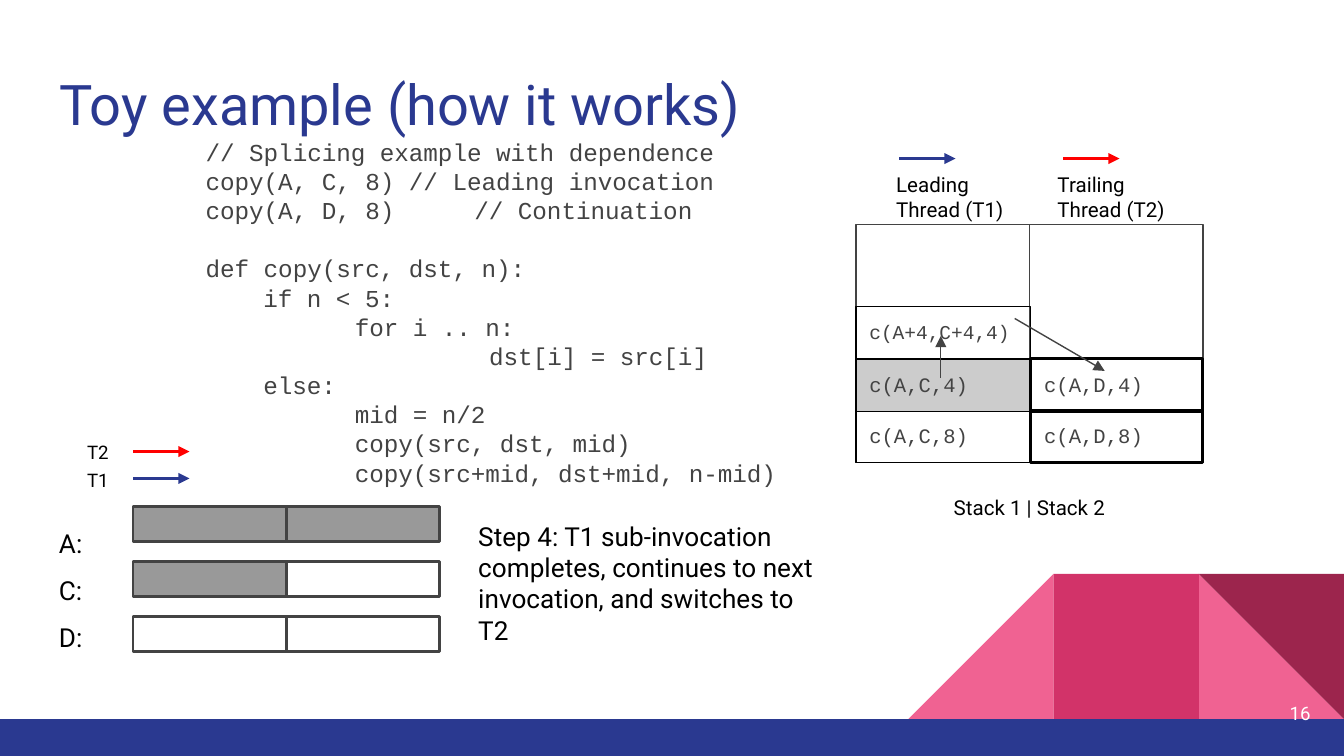
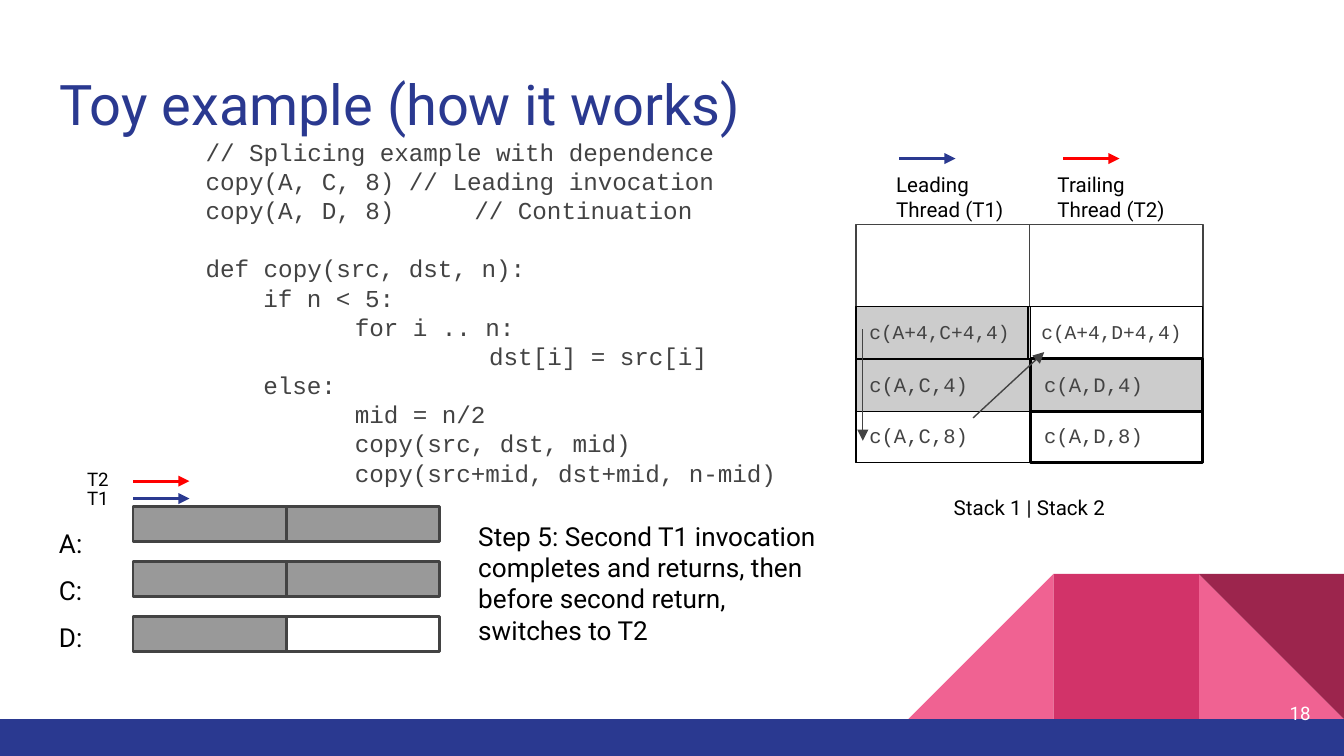
"""Build the two slides that step through the splicing toy example."""
from dataclasses import dataclass
from typing import NamedTuple, Optional

from lxml.etree import SubElement
from pptx import Presentation
from pptx.dml.color import RGBColor
from pptx.enum.shapes import MSO_CONNECTOR, MSO_SHAPE
from pptx.enum.text import MSO_ANCHOR, MSO_AUTO_SIZE, PP_ALIGN
from pptx.oxml.ns import qn
from pptx.util import Inches, Pt


@dataclass(frozen=True)
class Theme:
    """Colours, fonts and type sizes."""
    navy: str = "2A3990"
    red: str = "FF0000"
    pink: str = "F06292"
    rose: str = "D23369"
    wine: str = "9C254D"
    ink: str = "434343"
    black: str = "000000"
    white: str = "FFFFFF"
    filled: str = "999999"
    shaded: str = "CCCCCC"
    sans: str = "Roboto"
    mono: str = "Courier New"
    title: float = 30
    prose: float = 14
    code: float = 13
    label: float = 11
    long_call: float = 10.5
    small: float = 10


THEME = Theme()


class Box(NamedTuple):
    left: float
    top: float
    width: float
    height: float

    def lengths(self) -> tuple:
        """Give the four sides as lengths."""
        return tuple(Inches(side) for side in self)


class Style(NamedTuple):
    size: float
    color: str = THEME.black
    font: str = THEME.sans
    align: PP_ALIGN = PP_ALIGN.LEFT
    spacing: float = 1.0


class Arrow(NamedTuple):
    start: tuple[float, float]
    end: tuple[float, float]
    color: str = THEME.ink
    weight: float = 0.75


class Stack(NamedTuple):
    left: float
    width: float
    outline: float


class Call(NamedTuple):
    text: str
    stack: Stack
    level: int
    shaded: bool = False


class CodeLine(NamedTuple):
    text: str
    indent: float = 0
    space_before: float = 0


class Thread(NamedTuple):
    name: str
    color: str
    arrow_y: float
    label_top: float


class Facet(NamedTuple):
    preset: MSO_SHAPE
    box: Box
    color: str
    rotation: float = 0
    flipped: bool = False


@dataclass(frozen=True)
class Step:
    """What changes from one slide to the next."""
    page: str
    caption: str
    halves_done: tuple[int, int, int]
    threads: tuple[Thread, ...]
    calls: tuple[Call, ...]
    jumps: tuple[Arrow, ...]


STACK_1 = Stack(6.37, 1.3, 0.75)
STACK_2 = Stack(7.67, 1.28, 1.5)
STACK_2_TOP = Stack(7.65, 1.3, 0.75)
LEVEL_TOPS = (3.05, 2.67, 2.28)
FACET = 1.08
FACET_TOP = 4.27
FACETS = (
    Facet(MSO_SHAPE.RIGHT_TRIANGLE, Box(8.92, FACET_TOP, FACET, FACET), THEME.pink),
    Facet(MSO_SHAPE.RIGHT_TRIANGLE, Box(6.76, FACET_TOP, FACET, FACET), THEME.pink, flipped=True),
    Facet(MSO_SHAPE.RECTANGLE, Box(7.84, FACET_TOP, FACET, FACET), THEME.rose),
    Facet(MSO_SHAPE.RIGHT_TRIANGLE, Box(8.92, FACET_TOP, FACET, FACET), THEME.wine, rotation=180),
    Facet(MSO_SHAPE.RECTANGLE, Box(0, 5.35, 10, 0.28), THEME.navy),
)
CODE = (
    CodeLine("// Splicing example with dependence"),
    CodeLine("copy(A, C, 8) // Leading invocation"),
    CodeLine("copy(A, D, 8)\t// Continuation"),
    CodeLine("def copy(src, dst, n):", space_before=15.6),
    CodeLine("if n < 5:", 0.43),
    CodeLine("for i .. n:", 1.11),
    CodeLine("dst[i] = src[i]", 2.11),
    CodeLine("else:", 0.43),
    CodeLine("mid = n/2", 1.11),
    CodeLine("copy(src, dst, mid)", 1.11),
    CodeLine("copy(src+mid, dst+mid, n-mid)", 1.11),
)
BASE_CALLS = (
    Call("c(A,C,8)", STACK_1, 0),
    Call("c(A,D,8)", STACK_2, 0),
    Call("c(A,C,4)", STACK_1, 1, True),
)
STEPS = (
    Step(
        "16",
        "Step 4: T1 sub-invocation completes, continues to next invocation, and switches to T2",
        (2, 1, 0),
        (Thread("T2", THEME.red, 3.36, 3.18), Thread("T1", THEME.navy, 3.56, 3.39)),
        (Call("c(A,D,4)", STACK_2, 1), Call("c(A+4,C+4,4)", STACK_1, 2)),
        (Arrow((7, 2.81), (7, 2.5)), Arrow((7.55, 2.37), (8.22, 2.76))),
    ),
    Step(
        "18",
        "Step 5: Second T1 invocation completes and returns, then before second return, switches to T2",
        (2, 2, 1),
        (Thread("T2", THEME.red, 3.58, 3.38), Thread("T1", THEME.navy, 3.71, 3.52)),
        (
            Call("c(A,D,4)", STACK_2, 1, True),
            Call("c(A+4,C+4,4)", STACK_1, 2, True),
            Call("c(A+4,D+4,4)", STACK_2_TOP, 2),
        ),
        (Arrow((6.42, 2.45), (6.42, 3.28)), Arrow((7.24, 3.11), (7.77, 2.62))),
    ),
)


def prepare(frame, anchor: MSO_ANCHOR = MSO_ANCHOR.TOP) -> None:
    """Give a text frame the common margins, wrapping and anchor."""
    frame.word_wrap = True
    frame.auto_size = MSO_AUTO_SIZE.NONE
    frame.vertical_anchor = anchor
    frame.margin_left = frame.margin_right = Inches(0.1)
    frame.margin_top = frame.margin_bottom = Inches(0.1)


def write(frame, lines: tuple[str, ...], style: Style) -> None:
    """Write one paragraph per line."""
    for index, line in enumerate(lines):
        paragraph = frame.add_paragraph() if index else frame.paragraphs[0]
        paragraph.alignment = style.align
        paragraph.line_spacing = style.spacing
        paragraph.space_before = paragraph.space_after = Pt(0)
        run = paragraph.add_run()
        run.text = line
        run.font.name = style.font
        run.font.size = Pt(style.size)
        run.font.color.rgb = RGBColor.from_string(style.color)


def add_label(shapes, box: Box, lines: tuple[str, ...], style: Style,
              anchor: MSO_ANCHOR = MSO_ANCHOR.TOP) -> None:
    """Add a text box."""
    frame = shapes.add_textbox(*box.lengths()).text_frame
    prepare(frame, anchor)
    write(frame, lines, style)


def add_block(shapes, preset: MSO_SHAPE, box: Box, fill: Optional[str] = None,
              outline: Optional[str] = None, weight: float = 0.75):
    """Add a flat preset shape."""
    block = shapes.add_shape(preset, *box.lengths())
    block.shadow.inherit = False
    if fill:
        block.fill.solid()
        block.fill.fore_color.rgb = RGBColor.from_string(fill)
    else:
        block.fill.background()
    if outline:
        block.line.color.rgb = RGBColor.from_string(outline)
        block.line.width = Pt(weight)
    else:
        block.line.fill.background()
    return block


def add_arrow(shapes, arrow: Arrow) -> None:
    """Add a straight connector with a triangular head."""
    ends = [Inches(value) for value in (*arrow.start, *arrow.end)]
    connector = shapes.add_connector(MSO_CONNECTOR.STRAIGHT, *ends)
    connector.line.color.rgb = RGBColor.from_string(arrow.color)
    connector.line.width = Pt(arrow.weight)
    properties = connector.element.spPr
    SubElement(properties.find(qn("a:ln")), qn("a:tailEnd"), type="triangle")
    SubElement(properties, qn("a:effectLst"))


def decorate_layout(layout, slide) -> None:
    """Move the shared facets and bottom band onto the layout."""
    for index, facet in enumerate(FACETS):
        block = add_block(slide.shapes, facet.preset, facet.box, facet.color)
        block.rotation = facet.rotation
        if facet.flipped:
            block.element.spPr.get_or_add_xfrm().set("flipH", "1")
        block.element.nvSpPr.cNvPr.set("id", str(101 + index))
        layout.shapes.element.insert(2 + index, block.element)


def widen_tabs(master) -> None:
    """Set the default tab distance of the master to one inch."""
    for node in master.element.iter():
        if "defTabSz" in node.attrib:
            node.set("defTabSz", str(Inches(1)))


def fill_placeholders(slide) -> None:
    """Write the title and the code listing."""
    title, listing = slide.shapes.title, slide.placeholders[1]
    for holder, box in ((title, Box(0.34, 0.42, 9.32, 0.66)), (listing, Box(1.43, 0.92, 4.7, 2.79))):
        holder.left, holder.top, holder.width, holder.height = box.lengths()
        prepare(holder.text_frame)
    write(title.text_frame, ("Toy example (how it works)",), Style(THEME.title, THEME.navy))
    write(listing.text_frame, tuple(line.text for line in CODE),
          Style(THEME.code, THEME.ink, THEME.mono))
    for paragraph, line in zip(listing.text_frame.paragraphs, CODE):
        paragraph.space_before = Pt(line.space_before)
        properties = paragraph._p.get_or_add_pPr()
        properties.set("marL", str(Inches(line.indent)))
        properties.set("indent", "0")
        properties.set("defTabSz", str(Inches(1)))
        SubElement(properties, qn("a:buNone"))


def draw_arrays(shapes, step: Step) -> None:
    """Draw the three halved arrays and the thread markers above them."""
    add_label(shapes, Box(0.34, 3.71, 0.45, 1.04), ("A:", "C:", "D:"), Style(THEME.prose, spacing=1.5))
    for row, done in enumerate(step.halves_done):
        for half in range(2):
            box = Box(0.99 + 1.14 * half, 3.77 + 0.41 * row, 1.14, 0.26)
            add_block(shapes, MSO_SHAPE.RECTANGLE, box, THEME.filled if half < done else None, THEME.ink, 1.5)
    for thread in step.threads:
        add_arrow(shapes, Arrow((0.99, thread.arrow_y), (1.41, thread.arrow_y), thread.color, 1.5))
        add_label(shapes, Box(0.55, thread.label_top, 0.45, 0.35), (thread.name,), Style(THEME.small))


def draw_stacks(shapes, step: Step) -> None:
    """Draw both call stacks with their headings, calls and jumps."""
    for left in (7.66, 6.37):
        add_block(shapes, MSO_SHAPE.RECTANGLE, Box(left, 1.67, 1.29, 1.77), None, THEME.ink)
    for heading, left, arrow_left, color in (
        ("Leading Thread (T1)", 6.57, 6.69, THEME.navy),
        ("Trailing Thread (T2)", 7.77, 7.91, THEME.red),
    ):
        group = shapes.add_group_shape().shapes
        add_label(group, Box(left, 1.18, 1.14, 0.66), (heading,), Style(THEME.label))
        add_arrow(group, Arrow((arrow_left, 1.18), (arrow_left + 0.42, 1.18), color, 1.5))
    add_label(shapes, Box(6.38, 3.58, 2.56, 0.33), ("Stack 1 | Stack 2",),
              Style(THEME.label, align=PP_ALIGN.CENTER))
    for call in BASE_CALLS + step.calls:
        box = Box(call.stack.left, LEVEL_TOPS[call.level], call.stack.width, 0.39)
        cell = add_block(shapes, MSO_SHAPE.RECTANGLE, box, THEME.shaded if call.shaded else None,
                         THEME.black, call.stack.outline)
        prepare(cell.text_frame)
        size = THEME.long_call if call.level == 2 else THEME.label
        write(cell.text_frame, (call.text,), Style(size, THEME.ink, THEME.mono))
    for jump in step.jumps:
        add_arrow(shapes, jump)


def main() -> None:
    """Build and save the presentation."""
    deck = Presentation()
    deck.slide_width, deck.slide_height = Inches(10), Inches(10 * 9 / 16)
    layout = deck.slide_layouts[1]
    widen_tabs(deck.slide_master)
    for index, step in enumerate(STEPS):
        slide = deck.slides.add_slide(layout)
        if index == 0:
            decorate_layout(layout, slide)
        fill_placeholders(slide)
        draw_stacks(slide.shapes, step)
        draw_arrays(slide.shapes, step)
        add_label(slide.shapes, Box(3.46, 3.77, 2.71, 1.16), (step.caption,), Style(THEME.prose))
        add_label(slide.shapes, Box(9.25, 5.09, 0.6, 0.43), (step.page,),
                  Style(THEME.small, THEME.white, align=PP_ALIGN.RIGHT), MSO_ANCHOR.MIDDLE)
    deck.save("out.pptx")


if __name__ == "__main__":
    main()
